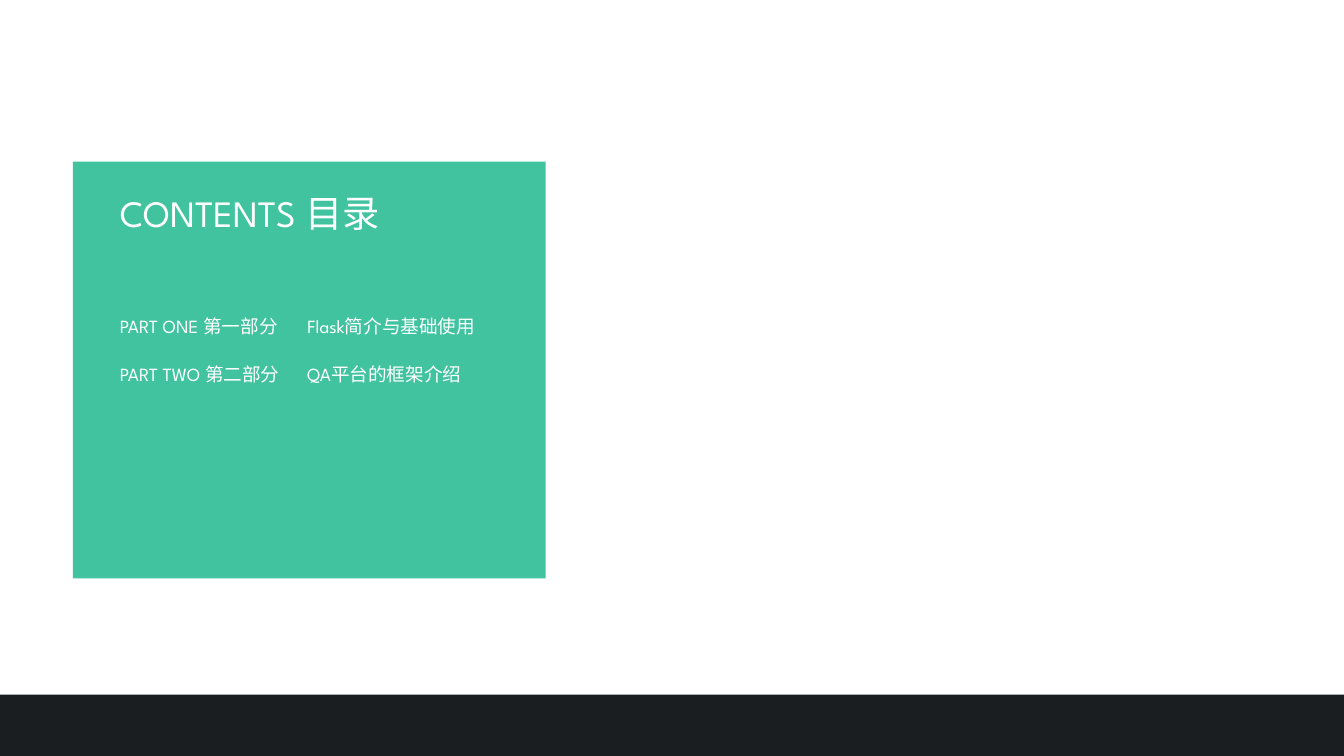
from lxml import etree
from pptx import Presentation
from pptx.dml.color import RGBColor
from pptx.enum.shapes import MSO_SHAPE
from pptx.enum.text import MSO_AUTO_SIZE
from pptx.oxml.ns import qn
from pptx.util import Pt

RECTANGLE = MSO_SHAPE.RECTANGLE
GROW = MSO_AUTO_SIZE.SHAPE_TO_FIT_TEXT

FONT = "League Spartan"
WHITE = "FFFFFF"
GREEN = "2CBD94"
DARK = "1A1E21"

LABEL_LEFT = 78.5
TOPIC_LEFT = 212.4
FIRST_PART_TOP = 217
PART_STEP = 33.7

PARTS = [
    ("PART ONE 第一部分", 137, "Flask简介与基础使用", 140.4),
    ("PART TWO 第二部分", 138, "QA平台的框架介绍", 131.8),
]


def color(hex_code):
    return RGBColor.from_string(hex_code)


def add_panel(slide, left, top, width, height, fill, opacity=100):
    """Add a borderless rectangle; opacity is in percent."""
    panel = slide.shapes.add_shape(
        RECTANGLE, Pt(left), Pt(top), Pt(width), Pt(height))
    panel.shadow.inherit = False
    panel.line.fill.background()
    panel.fill.solid()
    panel.fill.fore_color.rgb = color(fill)
    if opacity < 100:
        fill_color = panel.fill._xPr.find(f".//{qn('a:srgbClr')}")
        etree.SubElement(fill_color, qn("a:alpha"), val=str(opacity * 1000))


def add_text(slide, text, *, left, top, width, height=28, size=13.3):
    box = slide.shapes.add_textbox(Pt(left), Pt(top), Pt(width), Pt(height))
    frame = box.text_frame
    frame.word_wrap = False
    frame.auto_size = GROW
    paragraph = frame.paragraphs[0]
    paragraph.line_spacing = 1.3
    run = paragraph.add_run()
    run.text = text
    run.font.name = FONT
    run.font.size = Pt(size)
    run.font.color.rgb = color(WHITE)


def main():
    deck = Presentation()
    deck.slide_width, deck.slide_height = Pt(960), Pt(540)
    slide = deck.slides.add_slide(deck.slide_layouts[6])
    slide.background.fill.solid()
    slide.background.fill.fore_color.rgb = color(WHITE)

    add_panel(slide, 52, 115.4, 337.7, 297.8, GREEN, opacity=90)
    add_panel(slide, 0, 496.2, 960, 43.8, DARK)

    add_text(slide, "CONTENTS 目录", left=LABEL_LEFT, top=123.1,
             width=211.7, height=49, size=26.6)
    for index, (label, label_width, topic, topic_width) in enumerate(PARTS):
        top = FIRST_PART_TOP + index * PART_STEP
        add_text(slide, label, left=LABEL_LEFT, top=top, width=label_width)
        add_text(slide, topic, left=TOPIC_LEFT, top=top, width=topic_width)

    deck.save("out.pptx")


if __name__ == "__main__":
    main()
